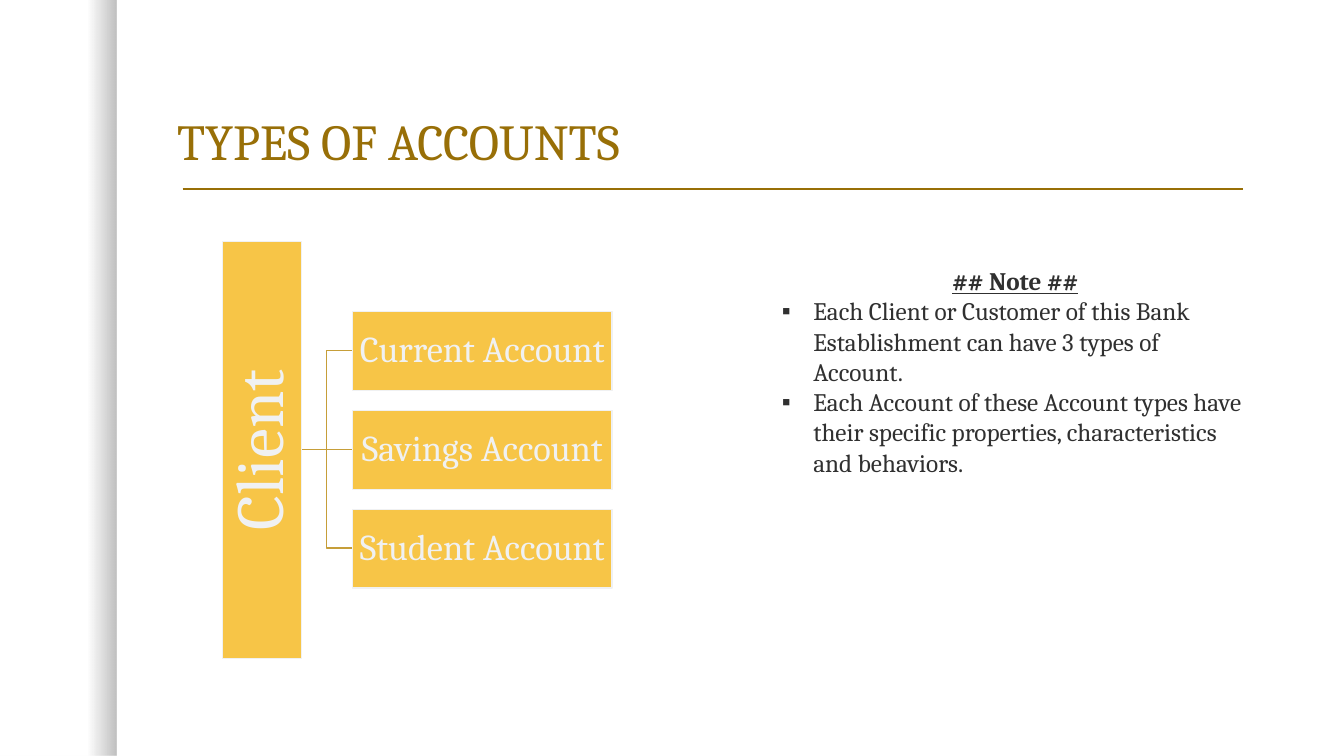
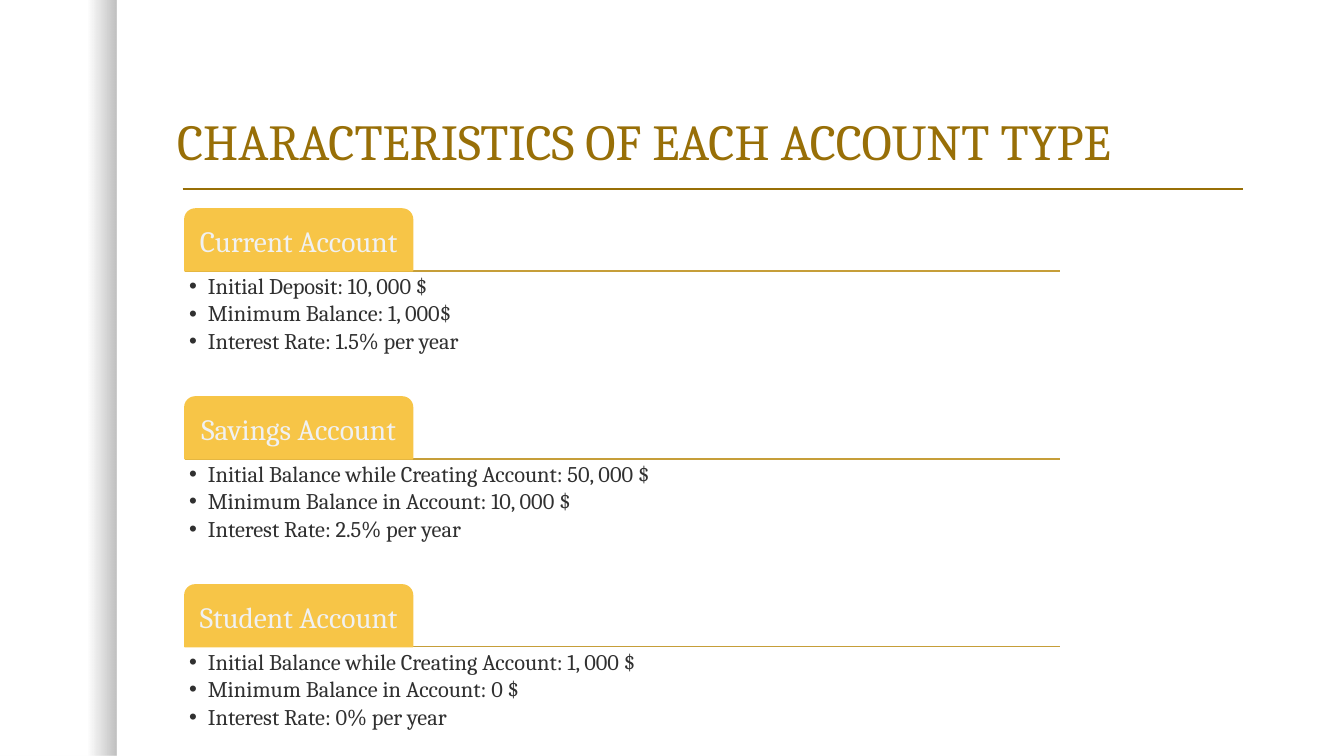
from dataclasses import dataclass

from pptx import Presentation
from pptx.dml.color import RGBColor
from pptx.enum.shapes import MSO_CONNECTOR, MSO_SHAPE
from pptx.enum.text import MSO_ANCHOR, MSO_AUTO_SIZE, PP_ALIGN
from pptx.oxml.ns import qn
from pptx.oxml.xmlchemy import OxmlElement
from pptx.presentation import Presentation as Deck
from pptx.shapes.autoshape import Shape
from pptx.slide import Slide
from pptx.text.text import TextFrame, _Paragraph as Paragraph
from pptx.util import Emu, Pt

EMU_PER_PX = 9525
SLIDE_WIDTH, SLIDE_HEIGHT = 1280, 720


@dataclass(frozen=True)
class Theme:
    font: str = "Cambria"
    title: RGBColor = RGBColor(0x98, 0x6F, 0x07)
    gold: RGBColor = RGBColor(0xF7, 0xC5, 0x47)
    connector: RGBColor = RGBColor(0xC6, 0x9E, 0x39)
    light: RGBColor = RGBColor(0xF0, 0xF1, 0xF2)
    text: RGBColor = RGBColor(0x30, 0x30, 0x30)
    shade: RGBColor = RGBColor(0, 0, 0)
    title_size: int = 36
    root_size: int = 48
    branch_size: int = 26
    tab_size: int = 21
    note_size: int = 18
    list_size: int = 16


@dataclass(frozen=True)
class Box:
    left: int
    top: int
    width: int
    height: int

    @property
    def middle(self) -> int:
        return self.top + self.height // 2

    def emu(self) -> tuple[Emu, Emu, Emu, Emu]:
        return px(self.left), px(self.top), px(self.width), px(self.height)


@dataclass(frozen=True)
class Account:
    name: str
    terms: tuple[str, ...]


THEME = Theme()
ACCOUNTS = (
    Account("Current Account", (
        "Initial Deposit: 10, 000 $",
        "Minimum Balance: 1, 000$",
        "Interest Rate: 1.5% per year",
    )),
    Account("Savings Account", (
        "Initial Balance while Creating Account: 50, 000 $",
        "Minimum Balance in Account: 10, 000 $",
        "Interest Rate: 2.5% per year",
    )),
    Account("Student Account", (
        "Initial Balance while Creating Account: 1, 000 $",
        "Minimum Balance in Account: 0 $",
        "Interest Rate: 0% per year",
    )),
)
NOTE_HEADING = "## Note ##"
NOTES = (
    "Each Client or Customer of this Bank Establishment can have 3 types of Account.",
    "Each Account of these Account types have their specific properties, "
    "characteristics and behaviors.",
)

BAND = Box(0, 0, 111, SLIDE_HEIGHT)
TITLE = Box(159, 40, 1032, 128)
TITLE_RULE_LEFT, TITLE_RULE_RIGHT, TITLE_RULE_TOP = 174, 1184, 180
ROOT = Box(51, 391, 397, 75)
ROOT_EDGE = 286
FIRST_BRANCH = Box(336, 297, 247, 75)
BRANCH_PITCH = 94
NOTE = Box(735, 248, 464, 213)
NOTE_INDENT = 30
FIRST_TAB = Box(176, 199, 217, 59)
TAB_PITCH = 179
LIST_WIDTH, LIST_HEIGHT, LIST_INDENT = 834, 102, 18


def px(length: int) -> Emu:
    return Emu(length * EMU_PER_PX)


def place(shape: Shape, box: Box) -> None:
    shape.left, shape.top, shape.width, shape.height = box.emu()


def set_insets(frame: TextFrame, left: int, top: int, right: int, bottom: int) -> None:
    frame.margin_left, frame.margin_top = px(left), px(top)
    frame.margin_right, frame.margin_bottom = px(right), px(bottom)


def format_paragraph(
    paragraph: Paragraph,
    size: int,
    color: RGBColor,
    align: PP_ALIGN = PP_ALIGN.LEFT,
    spacing: float = 0.9,
    after: float = 0,
    strong: bool = False,
) -> None:
    paragraph.alignment = align
    paragraph.line_spacing = spacing
    paragraph.space_before = Pt(0)
    paragraph.space_after = Pt(after)
    for run in paragraph.runs:
        run.font.name = THEME.font
        run.font.size = Pt(size)
        run.font.color.rgb = color
        run.font.bold = run.font.underline = strong


def set_bullet(paragraph: Paragraph, character: str = "", indent: int = 0) -> None:
    """Give the paragraph a hanging bullet, or none when no character is given."""
    properties = paragraph._p.get_or_add_pPr()
    properties.set("marL", str(px(indent)))
    properties.set("indent", str(-px(indent)))
    bullet = OxmlElement("a:buChar" if character else "a:buNone")
    if character:
        bullet.set("char", character)
    properties.append(bullet)


def add_block(
    slide: Slide, kind: MSO_SHAPE, box: Box, text: str, size: int, outline: RGBColor
) -> Shape:
    """Add a gold shape with centred light text."""
    shape = slide.shapes.add_shape(kind, *box.emu())
    shape.shadow.inherit = False
    shape.fill.solid()
    shape.fill.fore_color.rgb = THEME.gold
    shape.line.color.rgb = outline
    shape.line.width = Pt(1)
    frame = shape.text_frame
    frame.text = text
    frame.word_wrap = True
    frame.vertical_anchor = MSO_ANCHOR.MIDDLE
    set_insets(frame, 2, 2, 2, 2)
    format_paragraph(frame.paragraphs[0], size, THEME.light, PP_ALIGN.CENTER)
    return shape


def add_line(
    slide: Slide,
    start: tuple[int, int],
    end: tuple[int, int],
    color: RGBColor,
    kind: MSO_CONNECTOR = MSO_CONNECTOR.STRAIGHT,
) -> None:
    line = slide.shapes.add_connector(kind, *map(px, start + end))
    line.line.color.rgb = color
    line.line.width = Pt(1)
    line.element.spPr.append(OxmlElement("a:effectLst"))


def add_band(slide: Slide) -> None:
    """Add the left strip whose right edge fades into a shadow."""
    band = slide.shapes.add_shape(MSO_SHAPE.RECTANGLE, *BAND.emu())
    band.shadow.inherit = False
    band.line.fill.background()
    band.fill.gradient()
    band.fill.gradient_angle = 0
    for stop, position in zip(band.fill.gradient_stops, (0.75, 1)):
        stop.position = position
        stop.color.rgb = THEME.shade
    for color, opacity in zip(band.element.spPr.iter(qn("a:srgbClr")), (0, 25000)):
        alpha = OxmlElement("a:alpha")
        alpha.set("val", str(opacity))
        color.append(alpha)


def add_titled_slide(presentation: Deck, layout: str, title: str) -> Slide:
    slide = presentation.slides.add_slide(presentation.slide_layouts.get_by_name(layout))
    add_band(slide)
    add_line(slide, (TITLE_RULE_LEFT, TITLE_RULE_TOP),
             (TITLE_RULE_RIGHT, TITLE_RULE_TOP), THEME.title)
    shape = slide.shapes.title
    place(shape, TITLE)
    frame = shape.text_frame
    frame.text = title
    frame.auto_size = MSO_AUTO_SIZE.NONE
    frame.vertical_anchor = MSO_ANCHOR.BOTTOM
    format_paragraph(frame.paragraphs[0], THEME.title_size, THEME.title)
    return slide


def fill_body(body: Shape, box: Box, lines: tuple[str, ...]) -> TextFrame:
    place(body, box)
    frame = body.text_frame
    frame.text = "\n".join(lines)
    frame.word_wrap = True
    frame.auto_size = MSO_AUTO_SIZE.NONE
    frame.vertical_anchor = MSO_ANCHOR.TOP
    return frame


def add_types_slide(presentation: Deck) -> None:
    slide = add_titled_slide(presentation, "Title and Content", "TYPES OF ACCOUNTS")
    for index, account in enumerate(ACCOUNTS):
        branch = Box(FIRST_BRANCH.left, FIRST_BRANCH.top + index * BRANCH_PITCH,
                     FIRST_BRANCH.width, FIRST_BRANCH.height)
        level = branch.middle == ROOT.middle
        add_line(slide, (ROOT_EDGE, ROOT.middle), (branch.left, branch.middle),
                 THEME.connector,
                 MSO_CONNECTOR.STRAIGHT if level else MSO_CONNECTOR.ELBOW)
        add_block(slide, MSO_SHAPE.RECTANGLE, branch, account.name,
                  THEME.branch_size, THEME.light)
    root = add_block(slide, MSO_SHAPE.RECTANGLE, ROOT, "Client",
                     THEME.root_size, THEME.light)
    root.rotation = 270

    frame = fill_body(slide.placeholders[1], NOTE, (NOTE_HEADING, *NOTES))
    heading, *notes = frame.paragraphs
    format_paragraph(heading, THEME.note_size, THEME.text, PP_ALIGN.CENTER, 1.0, strong=True)
    set_bullet(heading)
    for paragraph in notes:
        format_paragraph(paragraph, THEME.note_size, THEME.text, spacing=1.0)
        set_bullet(paragraph, "▪", NOTE_INDENT)


def add_characteristics_slide(presentation: Deck) -> None:
    slide = add_titled_slide(presentation, "Comparison",
                             "CHARACTERISTICS OF EACH ACCOUNT TYPE")
    bodies = list(slide.placeholders)[1:]
    for index, (account, body) in enumerate(zip(ACCOUNTS, bodies)):
        tab = Box(FIRST_TAB.left, FIRST_TAB.top + index * TAB_PITCH,
                  FIRST_TAB.width, FIRST_TAB.height)
        bottom = tab.top + tab.height
        add_line(slide, (tab.left, bottom), (tab.left + LIST_WIDTH, bottom),
                 THEME.connector)
        shape = add_block(slide, MSO_SHAPE.ROUND_2_SAME_RECTANGLE, tab, account.name,
                          THEME.tab_size, THEME.gold)
        set_insets(shape.text_frame, 7, 7, 7, 4)
        frame = fill_body(body, Box(tab.left, bottom, LIST_WIDTH, LIST_HEIGHT),
                          account.terms)
        set_insets(frame, 4, 4, 4, 4)
        for paragraph in frame.paragraphs:
            format_paragraph(paragraph, THEME.list_size, THEME.text, after=2.4)
            set_bullet(paragraph, "•", LIST_INDENT)
    for unused in bodies[len(ACCOUNTS):]:
        unused.element.getparent().remove(unused.element)


def main() -> None:
    presentation = Presentation()
    presentation.slide_width, presentation.slide_height = px(SLIDE_WIDTH), px(SLIDE_HEIGHT)
    add_types_slide(presentation)
    add_characteristics_slide(presentation)
    presentation.save("out.pptx")


if __name__ == "__main__":
    main()
